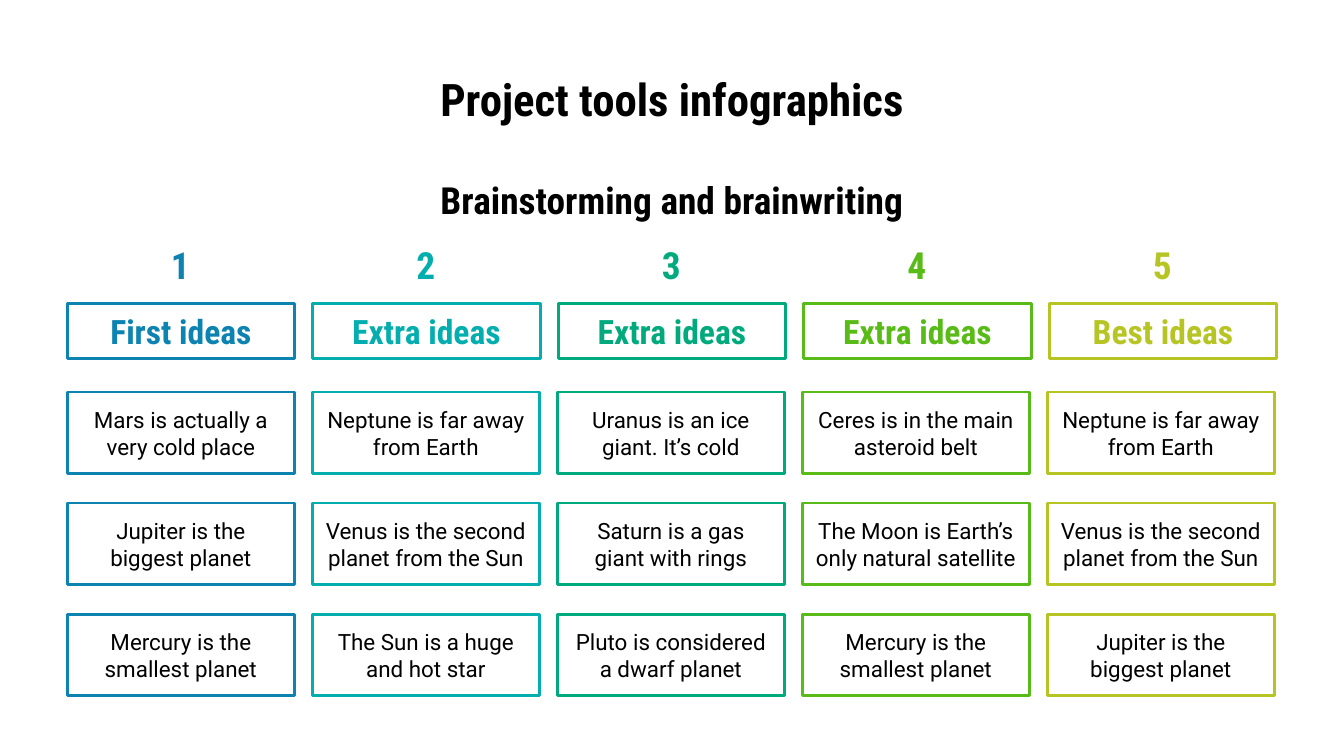
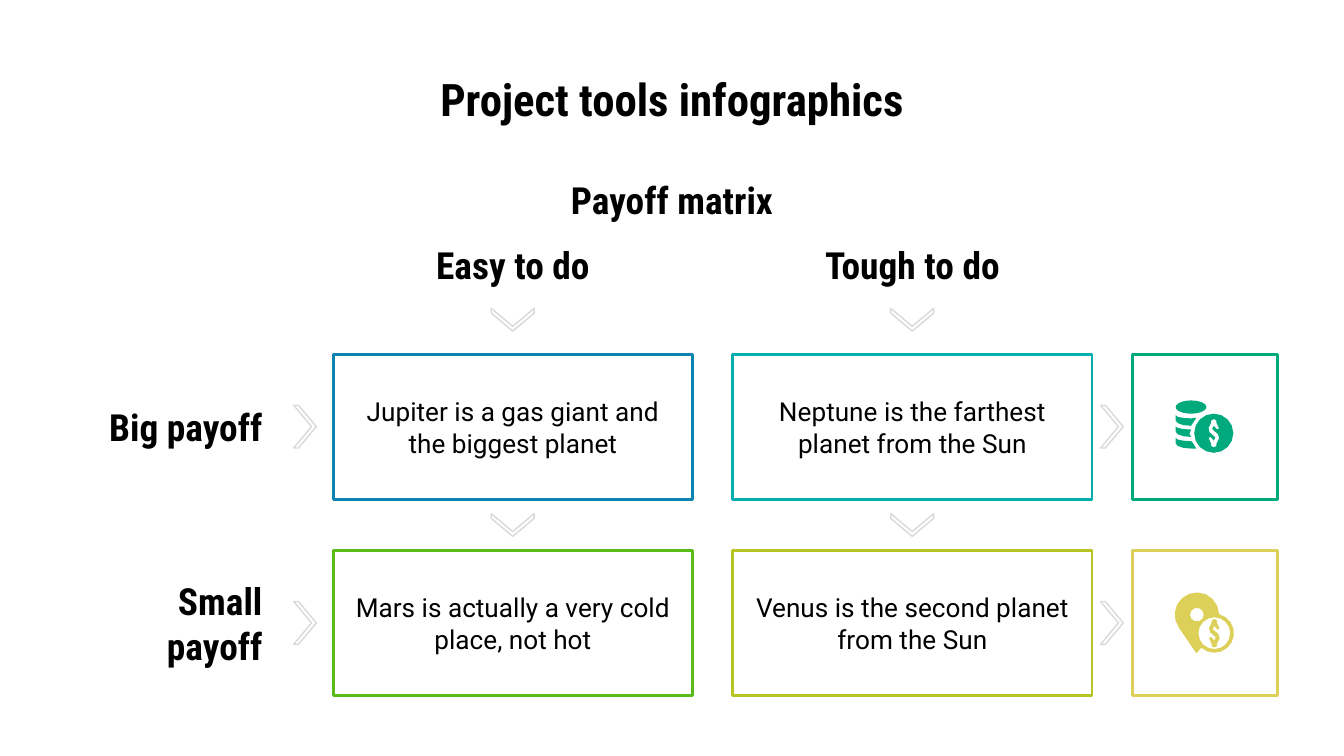
from dataclasses import dataclass
from math import cos, radians, sin

from pptx import Presentation
from pptx.dml.color import RGBColor
from pptx.enum.shapes import MSO_SHAPE as Preset
from pptx.enum.text import MSO_ANCHOR as Anchor, PP_ALIGN as Align
from pptx.util import Cm, Pt

COLORS = {
    "black": "000000", "blue": "0D83B1", "teal": "04AEAE", "green": "00AA7D",
    "lime": "59BB18", "olive": "B6C524", "yellow": "DDD058", "grey": "D9D9D9",
}
HEADING_FONT, BODY_FONT = "Roboto Condensed", "Roboto"
Point = tuple[float, float]


@dataclass
class Box:
    """Left, top, width and height in centimetres."""
    left: float
    top: float
    width: float
    height: float

    def lengths(self) -> tuple:
        return Cm(self.left), Cm(self.top), Cm(self.width), Cm(self.height)


@dataclass
class IdeaColumn:
    header: str
    color: str
    ideas: tuple[str, str, str]


@dataclass
class PayoffRow:
    label: str
    cells: tuple[tuple[str, str], tuple[str, str]]
    icon_color: str


IDEA_COLUMNS = [
    IdeaColumn("First ideas", "blue", (
        "Mars is actually a very cold place",
        "Jupiter is the biggest planet",
        "Mercury is the smallest planet")),
    IdeaColumn("Extra ideas", "teal", (
        "Neptune is far away from Earth",
        "Venus is the second planet from the Sun",
        "The Sun is a huge and hot star")),
    IdeaColumn("Extra ideas", "green", (
        "Uranus is an ice giant. It’s cold",
        "Saturn is a gas giant with rings",
        "Pluto is considered a dwarf planet")),
    IdeaColumn("Extra ideas", "lime", (
        "Ceres is in the main asteroid belt",
        "The Moon is Earth’s only natural satellite",
        "Mercury is the smallest planet")),
    IdeaColumn("Best ideas", "olive", (
        "Neptune is far away from Earth",
        "Venus is the second planet from the Sun",
        "Jupiter is the biggest planet")),
]
PAYOFF_COLUMNS = ["Easy to do", "Tough to do"]
PAYOFF_ROWS = [
    PayoffRow("Big payoff", (
        ("Jupiter is a gas giant and the biggest planet", "blue"),
        ("Neptune is the farthest planet from the Sun", "teal")), "green"),
    PayoffRow("Small payoff", (
        ("Mars is actually a very cold place, not hot", "lime"),
        ("Venus is the second planet from the Sun", "olive")), "yellow"),
]


# Shared drawing functions
def rgb(color: str) -> RGBColor:
    return RGBColor.from_string(COLORS[color])


def write(shape, text: str, *, size: float, color: str = "black",
          heading: bool = True, align=Align.CENTER) -> None:
    frame = shape.text_frame
    frame.word_wrap = True
    frame.vertical_anchor = Anchor.MIDDLE
    frame.margin_left = frame.margin_right = Cm(0.25)
    frame.margin_top = frame.margin_bottom = Cm(0.25)
    paragraph = frame.paragraphs[0]
    paragraph.alignment = align
    run = paragraph.add_run()
    run.text = text
    run.font.name = HEADING_FONT if heading else BODY_FONT
    run.font.size = Pt(size)
    run.font.bold = heading
    run.font.color.rgb = rgb(color)


def add_label(slide, box: Box, text: str, **text_format) -> None:
    write(slide.shapes.add_textbox(*box.lengths()), text, **text_format)


def add_outline(slide, box: Box, color: str, width: float = 1.5,
                preset=Preset.RECTANGLE):
    shape = slide.shapes.add_shape(preset, *box.lengths())
    shape.shadow.inherit = False
    shape.fill.background()
    shape.line.color.rgb = rgb(color)
    shape.line.width = Pt(width)
    return shape


def fill_plain(shape, color: str) -> None:
    shape.shadow.inherit = False
    shape.fill.solid()
    shape.fill.fore_color.rgb = rgb(color)
    shape.line.fill.background()


def add_chevron(slide, x: float, y: float, rotation: float = 0) -> None:
    """Draw a thin chevron around its centre."""
    shape = add_outline(slide, Box(x - 0.22, y - 0.41, 0.43, 0.81),
                        "grey", 0.75, Preset.CHEVRON)
    shape.adjustments[0] = 0.79
    shape.rotation = rotation


def add_titled_slide(presentation, subtitle: str):
    slide = presentation.slides.add_slide(presentation.slide_layouts[6])
    add_label(slide, Box(2, 1.26, 21.4, 1.19), "Project tools infographics", size=24)
    add_label(slide, Box(6.87, 3.25, 11.66, 1.04), subtitle, size=20)
    return slide


# Icon outlines
def arc(center: Point, radius_x: float, radius_y: float,
        start: float, end: float, steps: int) -> list[Point]:
    """Sample an arc; angles grow clockwise from the right."""
    angles = [radians(start + (end - start) * i / steps) for i in range(steps + 1)]
    return [(center[0] + radius_x * cos(a), center[1] + radius_y * sin(a))
            for a in angles]


def circle(center: Point, radius: float, steps: int = 16) -> list[Point]:
    return arc(center, radius, radius, 360, 0, steps)[:-1]


def dollar(x: float, y: float) -> list[Point]:
    """The sign is unchanged by a half turn, so only half is listed."""
    half = [(0, -0.27), (-0.05, -0.24), (-0.05, -0.2), (-0.1, -0.1), (-0.08, -0.02),
            (0.03, 0.08), (0, 0.14), (-0.06, 0.07), (-0.1, 0.09), (-0.05, 0.2),
            (-0.05, 0.24)]
    return [(x + sign * dx, y + sign * dy) for sign in (1, -1) for dx, dy in half]


def add_filled(slide, color: str, *contours: list[Point]) -> None:
    """Fill the first contour; later ones are holes."""
    builder = None
    for contour in contours:
        start, *rest = [(Cm(x), Cm(y)) for x, y in contour]
        if builder is None:
            builder = slide.shapes.build_freeform(*start)
        else:
            builder.move_to(*start)
        builder.add_line_segments(rest, close=True)
    fill_plain(builder.convert_to_shape(), color)


def add_coins_icon(slide, color: str) -> None:
    stack_x, radius = 22.51, 0.29
    coin = (22.94, 8.19)
    add_filled(slide, color, circle(coin, 0.37), dollar(*coin))
    top_coin = Box(stack_x - radius, 7.57, 2 * radius, 0.25)
    fill_plain(slide.shapes.add_shape(Preset.OVAL, *top_coin.lengths()), color)
    edges = [(7.85, [(22.61, 7.9)]), (8.06, [(22.48, 8.2)]),
             (8.28, [(22.53, 8.35), (22.61, 8.48)])]
    for top, right_edge in edges:
        upper = arc((stack_x, top), radius, 0.06, 180, 90, 3)
        lower = arc((stack_x, top + 0.1), radius, 0.1, 90, 180, 3)
        add_filled(slide, color, upper + right_edge + lower)


def add_pin_icon(slide, color: str) -> None:
    pin, coin = (22.62, 11.62), (22.95, 11.97)
    head = arc(pin, 0.42, 0.42, 142, 358, 10)
    rim = arc(coin, 0.37, 0.37, -76, 132, 10)
    add_filled(slide, color, head + rim + [(22.61, 12.35)],
               circle(pin, 0.13, 10), circle(coin, 0.3))
    add_filled(slide, color, dollar(*coin))


# Slides
def build_brainstorming(presentation) -> None:
    slide = add_titled_slide(presentation, "Brainstorming and brainwriting")
    for index, column in enumerate(IDEA_COLUMNS):
        left, card_left = 1.27 + 4.64 * index, 1.27 + 4.63 * index
        add_label(slide, Box(left + 0.78, 4.65, 2.72, 0.71), str(index + 1),
                  size=20, color=column.color)
        header = add_outline(slide, Box(left, 5.74, 4.3, 1.04), column.color)
        write(header, column.header, size=18, color=column.color)
        for row, idea in enumerate(column.ideas):
            card = add_outline(slide, Box(card_left, 7.41 + 2.1 * row, 4.3, 1.54),
                               column.color)
            write(card, idea, size=12, heading=False)


def build_payoff_matrix(presentation) -> None:
    slide = add_titled_slide(presentation, "Payoff matrix")
    cell_width, cell_height = 6.79, 2.74
    lefts = [6.3, 13.85]
    # Column labels and downward chevrons
    for left, label in zip(lefts, PAYOFF_COLUMNS):
        add_label(slide, Box(left, 4.29, cell_width, 1.42), label, size=20)
        for y in (6.05, 9.93):
            add_chevron(slide, left + cell_width / 2, y, rotation=90)
    # Rows with label, cells and icon frame
    for index, row in enumerate(PAYOFF_ROWS):
        top = 6.7 + 3.71 * index
        middle = top + cell_height / 2
        add_label(slide, Box(1.25, middle - 0.71, 3.96, 1.42), row.label,
                  size=20, align=Align.RIGHT)
        for left, (text, color) in zip(lefts, row.cells):
            cell = add_outline(slide, Box(left, top, cell_width, cell_height), color)
            write(cell, text, size=14, heading=False)
        for x in (5.77, 21.02):
            add_chevron(slide, x, middle)
        add_outline(slide, Box(21.4, top, cell_height, cell_height), row.icon_color)
    add_coins_icon(slide, PAYOFF_ROWS[0].icon_color)
    add_pin_icon(slide, PAYOFF_ROWS[1].icon_color)


def main() -> None:
    presentation = Presentation()
    presentation.slide_width, presentation.slide_height = Cm(25.4), Cm(14.29)
    build_brainstorming(presentation)
    build_payoff_matrix(presentation)
    presentation.save("out.pptx")


if __name__ == "__main__":
    main()
